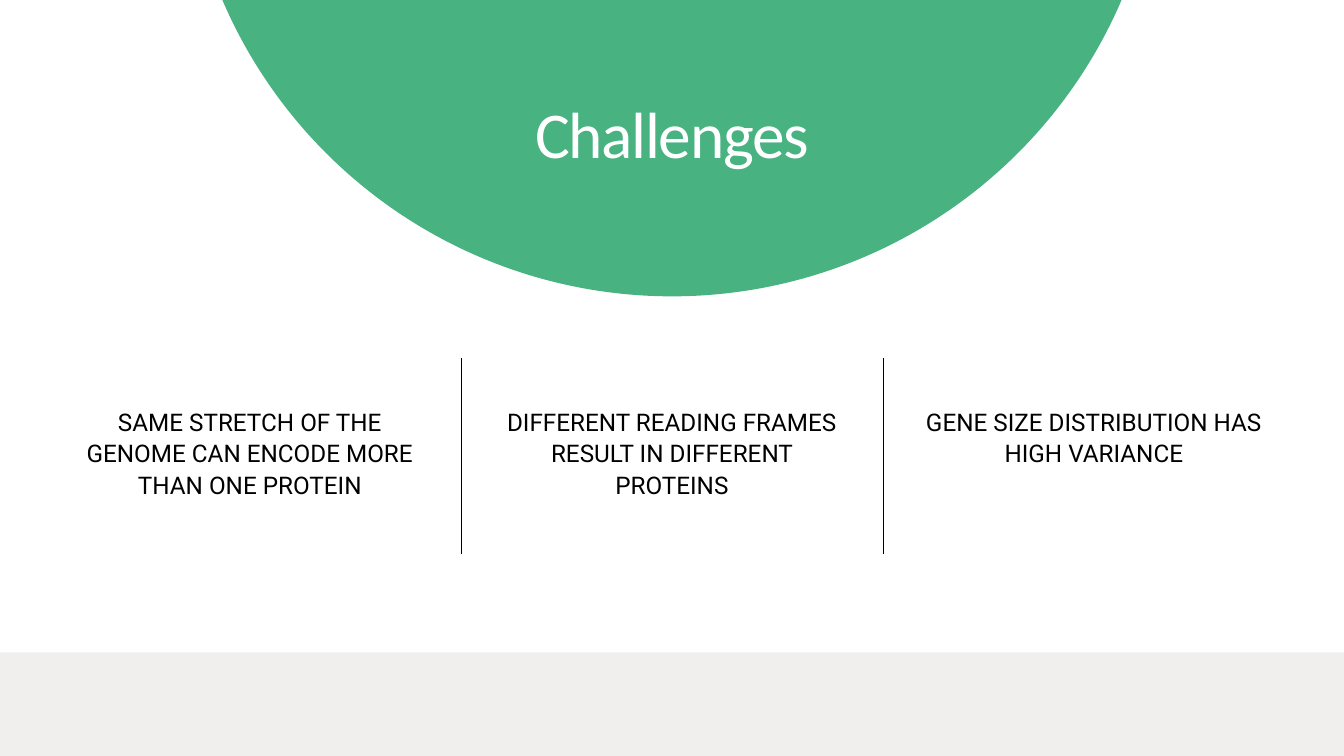
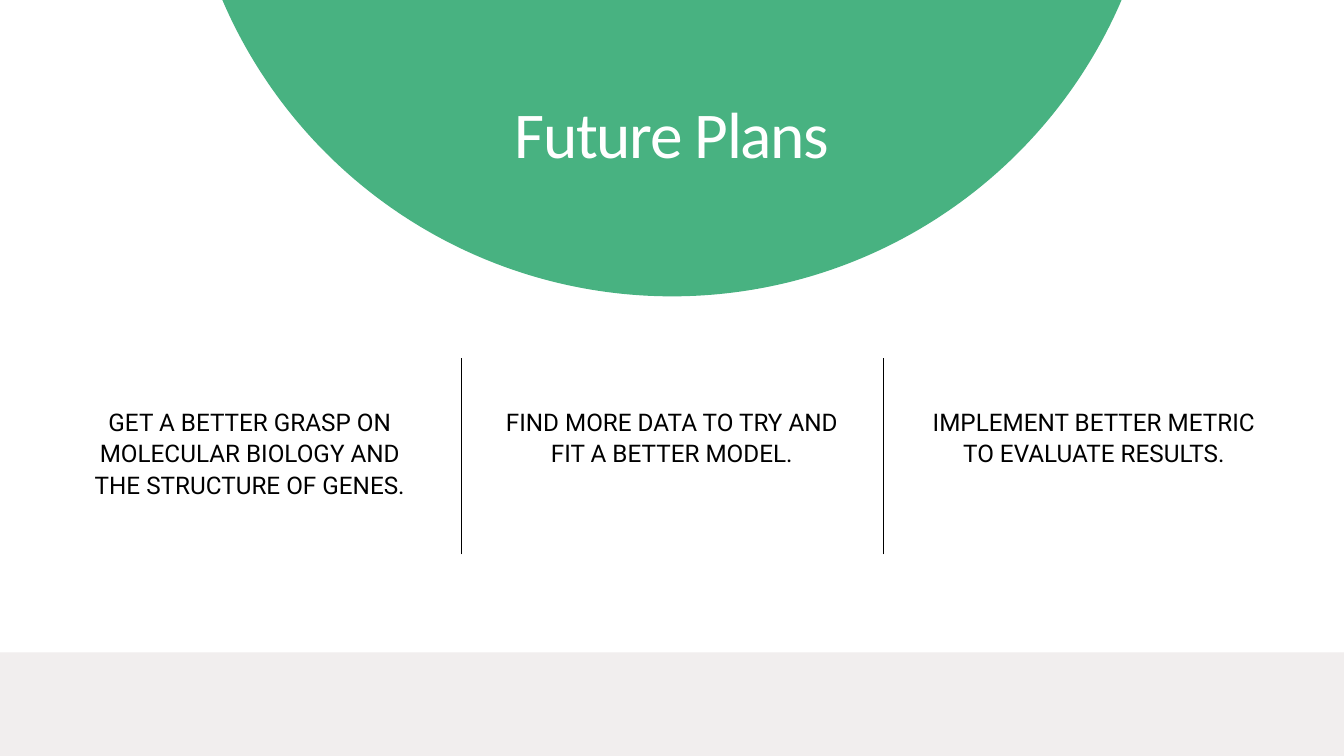
from pptx import Presentation
from pptx.dml.color import RGBColor
from pptx.enum.shapes import MSO_CONNECTOR, MSO_SHAPE
from pptx.enum.text import MSO_AUTO_SIZE, PP_ALIGN
from pptx.oxml.xmlchemy import OxmlElement
from pptx.util import Inches, Pt

COLORS = {"dome": "48B281", "band": "F1EEEE", "title": "FFFFFF", "ink": "000000"}
TITLE = {"font": "Calibri", "size": 70, "leading": 84, "color": "title"}
POINT = {"font": "Roboto", "size": 26, "leading": 33.8, "color": "ink"}

# Slide size and the three-column grid, in inches
WIDTH, HEIGHT = 20, 11.25
COLUMNS, GUTTER = 3, 1.08
MARGIN = 0.056 * WIDTH
COLUMN = (WIDTH - 2 * MARGIN - (COLUMNS - 1) * GUTTER) / COLUMNS
DOME, DOME_BOTTOM = 0.728 * WIDTH, 0.392 * HEIGHT
TITLE_WIDTH, TITLE_TOP = 8.21, 1.39
POINT_TOP = 0.535 * HEIGHT
DIVIDER_TOP, DIVIDER_BOTTOM = 5.33, 8.25
BAND_TOP = 9.71

TOPICS = {
    "Challenges": [
        "SAME STRETCH OF THE GENOME CAN ENCODE MORE THAN ONE PROTEIN",
        "DIFFERENT READING FRAMES RESULT IN DIFFERENT PROTEINS",
        "GENE SIZE DISTRIBUTION HAS HIGH VARIANCE",
    ],
    "Future Plans": [
        "GET A BETTER GRASP ON MOLECULAR BIOLOGY AND THE STRUCTURE OF GENES.",
        "FIND MORE DATA TO TRY AND FIT A BETTER MODEL.",
        "IMPLEMENT BETTER METRIC TO EVALUATE RESULTS.",
    ],
}


def add_filled(slide, preset, box, color):
    shape = slide.shapes.add_shape(preset, *map(Inches, box))
    shape.fill.solid()
    shape.fill.fore_color.rgb = RGBColor.from_string(COLORS[color])
    shape.line.fill.background()
    shape.shadow.inherit = False


def add_text(slide, text, box, style):
    frame = slide.shapes.add_textbox(*map(Inches, box)).text_frame
    frame.margin_left = frame.margin_right = frame.margin_top = frame.margin_bottom = 0
    frame.word_wrap = True
    frame.auto_size = MSO_AUTO_SIZE.SHAPE_TO_FIT_TEXT
    frame.text = text
    paragraph = frame.paragraphs[0]
    paragraph.alignment = PP_ALIGN.CENTER
    paragraph.line_spacing = Pt(style["leading"])
    run = paragraph.runs[0]
    run.font.name = style["font"]
    run.font.size = Pt(style["size"])
    run.font.color.rgb = RGBColor.from_string(COLORS[style["color"]])
    return run


deck = Presentation()
deck.slide_width, deck.slide_height = Inches(WIDTH), Inches(HEIGHT)

for topic, points in TOPICS.items():
    slide = deck.slides.add_slide(deck.slide_layouts[6])

    # Dome hanging from the top edge, and the bottom band
    add_filled(slide, MSO_SHAPE.OVAL,
               ((WIDTH - DOME) / 2, DOME_BOTTOM - DOME, DOME, DOME), "dome")
    add_filled(slide, MSO_SHAPE.RECTANGLE,
               (0, BAND_TOP, WIDTH, HEIGHT - BAND_TOP), "band")

    # Dividers in the middle of each gutter
    for column in range(1, COLUMNS):
        x = Inches(MARGIN + column * (COLUMN + GUTTER) - GUTTER / 2)
        divider = slide.shapes.add_connector(
            MSO_CONNECTOR.STRAIGHT, x, Inches(DIVIDER_BOTTOM), x, Inches(DIVIDER_TOP))
        divider.line.color.rgb = RGBColor.from_string(COLORS["ink"])
        divider.line.width = Pt(0.75)
        divider._element.spPr.append(OxmlElement("a:effectLst"))

    # Title with slightly tightened letters
    heading = add_text(slide, topic,
                       ((WIDTH - TITLE_WIDTH) / 2, TITLE_TOP, TITLE_WIDTH, 1.15), TITLE)
    heading.font._element.set("spc", "-140")

    # One point per column; the text box is as tall as its lines
    for column, point in enumerate(points):
        lines = 3 if len(point) > 50 else 2
        add_text(slide, point,
                 (MARGIN + column * (COLUMN + GUTTER), POINT_TOP,
                  COLUMN, lines * POINT["leading"] / 72), POINT)

deck.save("out.pptx")
